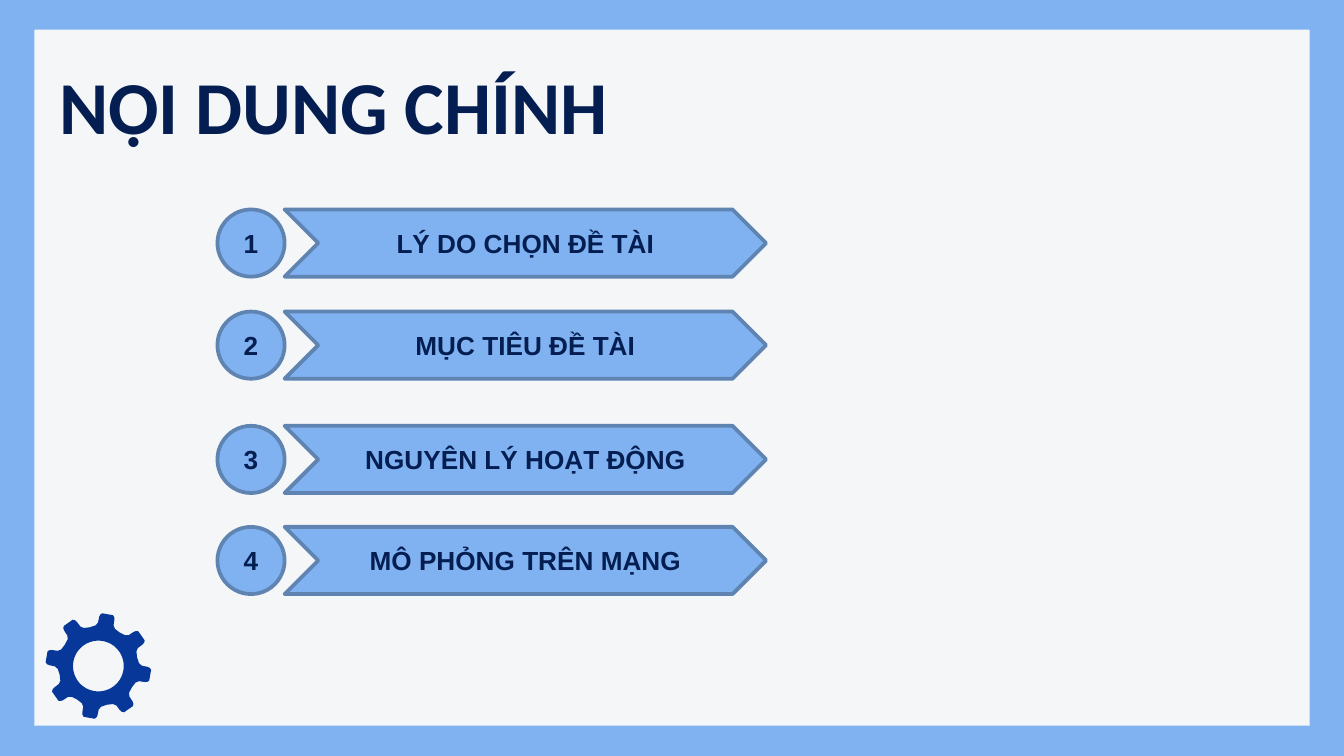
from math import cos, radians, sin

from pptx import Presentation
from pptx.dml.color import RGBColor
from pptx.enum.shapes import MSO_SHAPE
from pptx.enum.text import MSO_ANCHOR, MSO_AUTO_SIZE, PP_ALIGN
from pptx.util import Cm, Pt

# Content
TITLE = "NỘI DUNG CHÍNH"
TOPICS = [  # text, top in cm
    ("LÝ DO CHỌN ĐỀ TÀI", 3.96),
    ("MỤC TIÊU ĐỀ TÀI", 5.89),
    ("NGUYÊN LÝ HOẠT ĐỘNG", 8.05),
    ("MÔ PHỎNG TRÊN MẠNG", 9.96),
]

# Colours and formats
SKY = RGBColor(0x80, 0xB2, 0xF1)
PAPER = RGBColor(0xF4, 0xF6, 0xF8)
STEEL = RGBColor(0x5F, 0x84, 0xB2)
NAVY = RGBColor(0x04, 0x1E, 0x52)
COBALT = RGBColor(0x07, 0x38, 0x99)
TITLE_FONT = {"name": "Calibri", "size": Pt(40), "bold": True}
TOPIC_FONT = {"name": "Arial", "size": Pt(14), "bold": True}

# Layout in cm
CIRCLE_LEFT, ROW_HEIGHT, ARROW_WIDTH = 4.11, 1.27, 9.1
GEAR_X, GEAR_Y, HOLE_RADIUS, TEETH, GEAR_TURN = 1.86, 12.59, 0.48, 8, 10
TOOTH = [  # angle from the tooth's middle, radius
    (-22.5, 0.75), (-14, 0.77), (-10.5, 0.82), (-9, 0.93), (-8, 0.97), (-6, 1),
    (6, 1), (8, 0.97), (9, 0.93), (10.5, 0.82), (14, 0.77),
]


def write(tf, text, font, align):
    p = tf.paragraphs[0]
    p.alignment = align
    r = p.add_run()
    r.text = text
    for key, value in font.items():
        setattr(r.font, key, value)
    r.font.color.rgb = NAVY


def paint(sp, fill, line=None):
    sp.shadow.inherit = False
    sp.fill.solid()
    sp.fill.fore_color.rgb = fill
    if line is None:
        sp.line.fill.background()
    else:
        sp.line.color.rgb = line
        sp.line.width = Pt(2)


def gear_point(angle, radius):
    a = radians(angle)
    return Cm(GEAR_X + radius * sin(a)), Cm(GEAR_Y - radius * cos(a))


prs = Presentation()
prs.slide_width, prs.slide_height = Cm(25.4), Cm(14.29)
s = prs.slides.add_slide(prs.slide_layouts[5])
s.background.fill.solid()
s.background.fill.fore_color.rgb = SKY

# Panel, behind the title
sp = s.shapes.add_shape(MSO_SHAPE.RECTANGLE, Cm(0.65), Cm(0.56), Cm(24.1), Cm(13.16))
paint(sp, PAPER)
s.shapes.element.insert(2, sp.element)

# Title
title = s.shapes.title
title.left, title.top, title.width, title.height = Cm(0.87), Cm(0.89), Cm(14.88), Cm(2.06)
tf = title.text_frame
frame = dict.fromkeys(["margin_left", "margin_top", "margin_right", "margin_bottom"], Cm(0.25))
frame.update(vertical_anchor=MSO_ANCHOR.TOP, auto_size=MSO_AUTO_SIZE.NONE, word_wrap=True)
for key, value in frame.items():
    setattr(tf, key, value)
write(tf, TITLE, TITLE_FONT, PP_ALIGN.LEFT)

# Gear: outer outline and round hole
outline = [gear_point(GEAR_TURN + 360 / TEETH * i + angle, radius)
           for i in range(TEETH) for angle, radius in TOOTH]
hole = [gear_point(angle, HOLE_RADIUS) for angle in range(360, 0, -6)]
builder = s.shapes.build_freeform(*outline[0])
builder.add_line_segments(outline[1:], close=True)
builder.move_to(*hole[0])
builder.add_line_segments(hole[1:], close=True)
paint(builder.convert_to_shape(), COBALT)

# Numbered topics: circle and arrow grouped per row
for number, (topic, top) in enumerate(TOPICS, 1):
    row = s.shapes.add_group_shape()
    parts = [
        (MSO_SHAPE.FLOWCHART_CONNECTOR, CIRCLE_LEFT, ROW_HEIGHT, str(number)),
        (MSO_SHAPE.CHEVRON, CIRCLE_LEFT + ROW_HEIGHT, ARROW_WIDTH, topic),
    ]
    for kind, left, width, text in parts:
        sp = row.shapes.add_shape(kind, Cm(left), Cm(top), Cm(width), Cm(ROW_HEIGHT))
        paint(sp, SKY, STEEL)
        sp.text_frame.vertical_anchor = MSO_ANCHOR.MIDDLE
        write(sp.text_frame, text, TOPIC_FONT, PP_ALIGN.CENTER)

prs.save("out.pptx")
